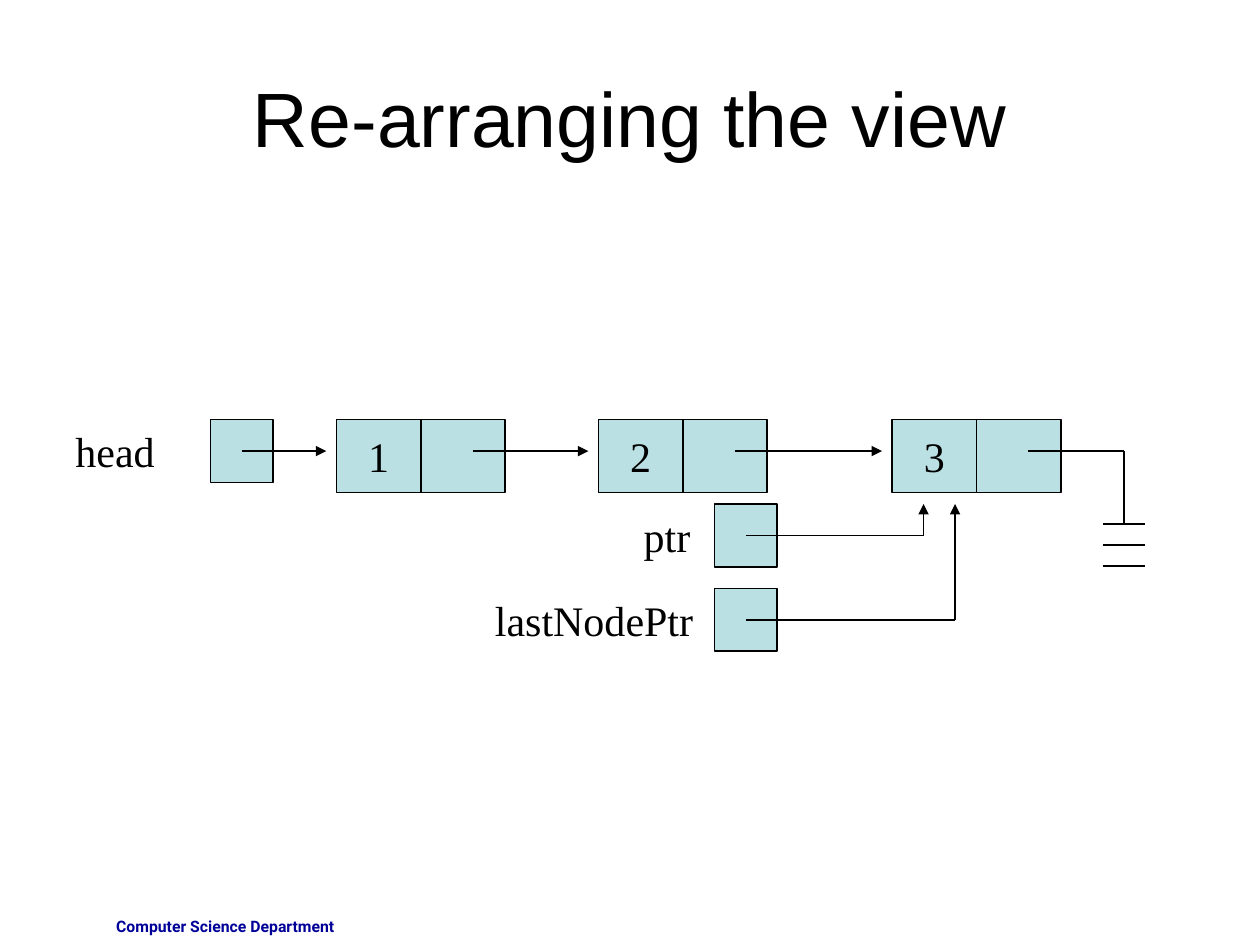
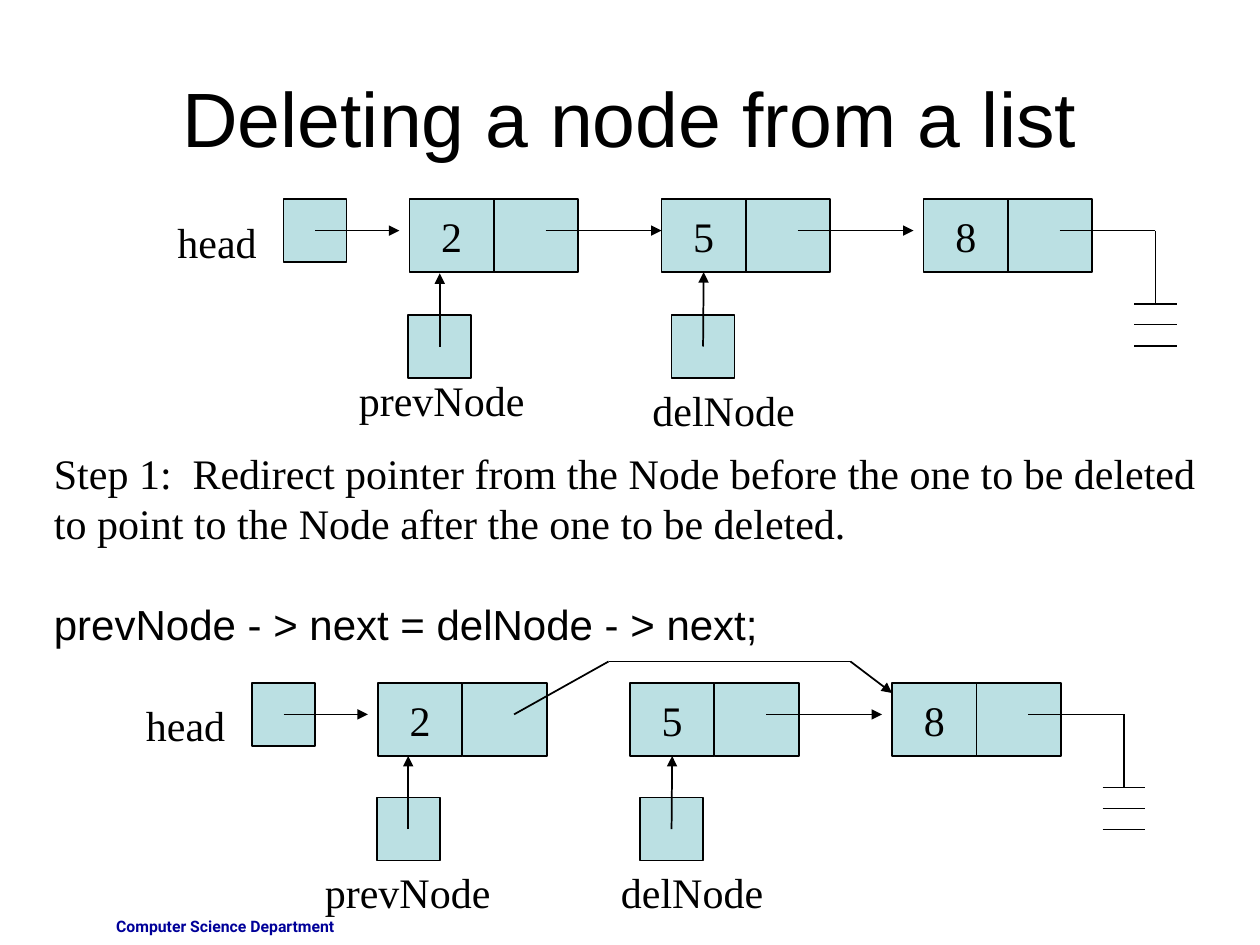
from lxml import etree
from pptx import Presentation
from pptx.dml.color import RGBColor
from pptx.enum.shapes import MSO_CONNECTOR as Connector, MSO_SHAPE as Shape
from pptx.enum.text import MSO_ANCHOR as Anchor, MSO_AUTO_SIZE as AutoSize, PP_ALIGN as Align
from pptx.oxml.ns import qn
from pptx.util import Inches, Pt

# Content: box is (left, top, width, height); a pointer ends at "tip",
# or at the bottom of the node value named by "joins"
SLIDES = [
    {
        "title": "Re-arranging the view",
        "lists": [{
            "top": 3.33, "head": 1.67, "head_label": (0.5, 3.33, 0.95, 0.5),
            "nodes": [("1", 2.67), ("2", 4.75), ("3", 7.08)],
            "arrow_gaps": [0.08, 0.08, 0.08],
            "pointers": [
                {"label": "ptr", "label_box": (5.01, 4, 0.65, 0.5),
                 "corner": (5.67, 4), "tip": (7.33, 4)},
                {"label": "lastNodePtr", "label_box": (3.83, 4.67, 1.84, 0.5),
                 "corner": (5.67, 4.67), "tip": (7.58, 4)},
            ],
        }],
    },
    {
        "title": "Deleting a node from a list",
        "lists": [
            {
                "top": 1.58, "head": 2.25, "head_label": (1.31, 1.67, 0.93, 0.5),
                "nodes": [("2", 3.25), ("5", 5.25), ("8", 7.33)],
                "arrow_gaps": [0.08, 0, 0.08],
                "pointers": [
                    {"label": "prevNode", "label_box": (2.75, 2.92, 1.6, 0.5),
                     "corner": (3.24, 2.5), "tip": (3.49, 2.17)},
                    {"label": "delNode", "label_box": (5.08, 3, 1.45, 0.5),
                     "corner": (5.33, 2.5), "tip": (5.58, 2.17), "joins": "5"},
                ],
            },
            {
                "top": 5.42, "head": 2, "head_label": (1.06, 5.5, 0.93, 0.5),
                "nodes": [("2", 3), ("5", 5), ("8", 7.08)],
                "arrow_gaps": [0.08, None, 0.08],
                "pointers": [
                    {"label": "prevNode", "label_box": (2.48, 6.83, 1.6, 0.5),
                     "corner": (2.99, 6.33), "tip": (3.24, 6)},
                    {"label": "delNode", "label_box": (4.83, 6.83, 1.45, 0.5),
                     "corner": (5.08, 6.33), "tip": (5.33, 6), "joins": "5"},
                ],
                "bypass": [(4.08, 5.67), (4.83, 5.25), (6.75, 5.25), (7.08, 5.5)],
            },
        ],
        "step": [
            "Step 1:  Redirect pointer from the Node before the one to be deleted "
            "to point to the Node after the one to be deleted.",
            "prevNode - > next = delNode - > next;",
        ],
    },
]
FOOTER = "Computer Science Department"

# Shared style
BLACK, CELL_FILL, FOOTER_BLUE = "000000", "BBE0E3", "000099"
TITLE_FONT = {"name": "Arial", "size": Pt(44)}
LABEL_FONT = {"name": "Times New Roman", "size": Pt(24)}
CODE_FONT = {"name": "Arial", "size": Pt(24)}
FOOTER_FONT = {"name": "Roboto", "size": Pt(9), "bold": True}
TITLE_BOX = (0.5, 0.3, 9, 1.25)
FOOTER_BOX = (0.42, 7.23, 2.33, 0.27)
STEP_BOX = (0.33, 3.5, 9.27, 1.7)
CELL_WIDTH, CELL_HEIGHT, POINTER_SIZE = 0.67, 0.58, 0.5
LINK_START = 1.08  # from a node's left edge to the start of its link
HALF_POINTER = POINTER_SIZE / 2


def paint(color_format, color):
    color_format.rgb = RGBColor.from_string(color)


def inches(values):
    return [Inches(value) for value in values]


def write(paragraph, text, font_values, color=BLACK, align=Align.LEFT):
    paragraph.text = text
    paragraph.alignment = align
    for name, value in font_values.items():
        setattr(paragraph.font, name, value)
    paint(paragraph.font.color, color)


def add_text(slide, box, text, font_values, **options):
    frame = slide.shapes.add_textbox(*inches(box)).text_frame
    frame.word_wrap = True
    frame.auto_size = AutoSize.SHAPE_TO_FIT_TEXT
    write(frame.paragraphs[0], text, font_values, **options)
    return frame


def add_cell(slide, box, text=""):
    cell = slide.shapes.add_shape(Shape.RECTANGLE, *inches(box))
    cell.shadow.inherit = False
    cell.fill.solid()
    paint(cell.fill.fore_color, CELL_FILL)
    paint(cell.line.color, BLACK)
    cell.line.width = Pt(1)
    if text:
        cell.text_frame.word_wrap = False
        cell.text_frame.vertical_anchor = Anchor.MIDDLE
        write(cell.text_frame.paragraphs[0], text, LABEL_FONT, align=Align.CENTER)
    return cell


def add_lines(slide, points, arrow=False):
    """Draw straight lines through the points and return the last one."""
    for start, end in zip(points, points[1:]):
        line = slide.shapes.add_connector(Connector.STRAIGHT, *inches(start + end))
        paint(line.line.color, BLACK)
        line.line.width = Pt(1)
        properties = line._element.spPr
        etree.SubElement(properties, qn("a:effectLst"))
    if arrow:
        outline = properties.find(qn("a:ln"))
        etree.SubElement(outline, qn("a:tailEnd"), type="triangle")
    return line


def add_ground(slide, left, y):
    """End the list with a stem and three bars."""
    stem, bar_top = left + 1.84, y + 0.58
    add_lines(slide, [(left + LINK_START, y), (stem, y), (stem, bar_top)])
    for index in range(3):
        bar_y = bar_top + index / 6
        add_lines(slide, [(stem - 0.17, bar_y), (stem + 0.17, bar_y)])


def add_pointer(slide, pointer, value_cells):
    left, top = pointer["corner"]
    add_cell(slide, (left, top, POINTER_SIZE, POINTER_SIZE))
    add_text(slide, pointer["label_box"], pointer["label"], LABEL_FONT)
    center = (left + HALF_POINTER, top + HALF_POINTER)
    tip = pointer["tip"]
    points = [center, tip]
    if abs(tip[0] - center[0]) > 0.01:
        points.insert(1, (tip[0], center[1]))
    arrow = add_lines(slide, points, arrow=True)
    if "joins" in pointer:
        arrow.end_connect(value_cells[pointer["joins"]], 2)


def add_linked_list(slide, linked_list):
    top, head, nodes = (linked_list[key] for key in ("top", "head", "nodes"))
    link_y = top + HALF_POINTER

    # Head and nodes
    add_text(slide, linked_list["head_label"], "head", LABEL_FONT)
    add_cell(slide, (head, top, POINTER_SIZE, POINTER_SIZE))
    value_cells = {}
    for value, left in nodes:
        value_cells[value] = add_cell(slide, (left, top, CELL_WIDTH, CELL_HEIGHT), value)
        add_cell(slide, (left + CELL_WIDTH, top, CELL_WIDTH, CELL_HEIGHT))

    # Links from each part to the next
    starts = [head + HALF_POINTER] + [left + LINK_START for _, left in nodes]
    for start, (_, left), gap in zip(starts, nodes, linked_list["arrow_gaps"]):
        if gap is not None:
            add_lines(slide, [(start, link_y), (left - gap, link_y)], arrow=True)
    add_ground(slide, nodes[-1][1], link_y)

    # Pointers and the link around the deleted node
    for pointer in linked_list["pointers"]:
        add_pointer(slide, pointer, value_cells)
    if "bypass" in linked_list:
        add_lines(slide, linked_list["bypass"], arrow=True)


def add_slide(presentation, content):
    slide = presentation.slides.add_slide(presentation.slide_layouts[5])
    title = slide.shapes.title
    title.left, title.top, title.width, title.height = inches(TITLE_BOX)
    title.text_frame.vertical_anchor = Anchor.MIDDLE
    write(title.text_frame.paragraphs[0], content["title"], TITLE_FONT, align=Align.CENTER)
    add_text(slide, FOOTER_BOX, FOOTER, FOOTER_FONT, color=FOOTER_BLUE, align=Align.RIGHT)
    for linked_list in content["lists"]:
        add_linked_list(slide, linked_list)
    if "step" in content:
        instruction, code = content["step"]
        frame = add_text(slide, STEP_BOX, instruction, LABEL_FONT)
        paragraph = frame.add_paragraph()
        write(paragraph, code, CODE_FONT)
        paragraph.space_before = Pt(29)


def main():
    presentation = Presentation()
    presentation.slide_width, presentation.slide_height = Inches(10), Inches(7.5)
    for content in SLIDES:
        add_slide(presentation, content)
    presentation.save("out.pptx")


if __name__ == "__main__":
    main()
